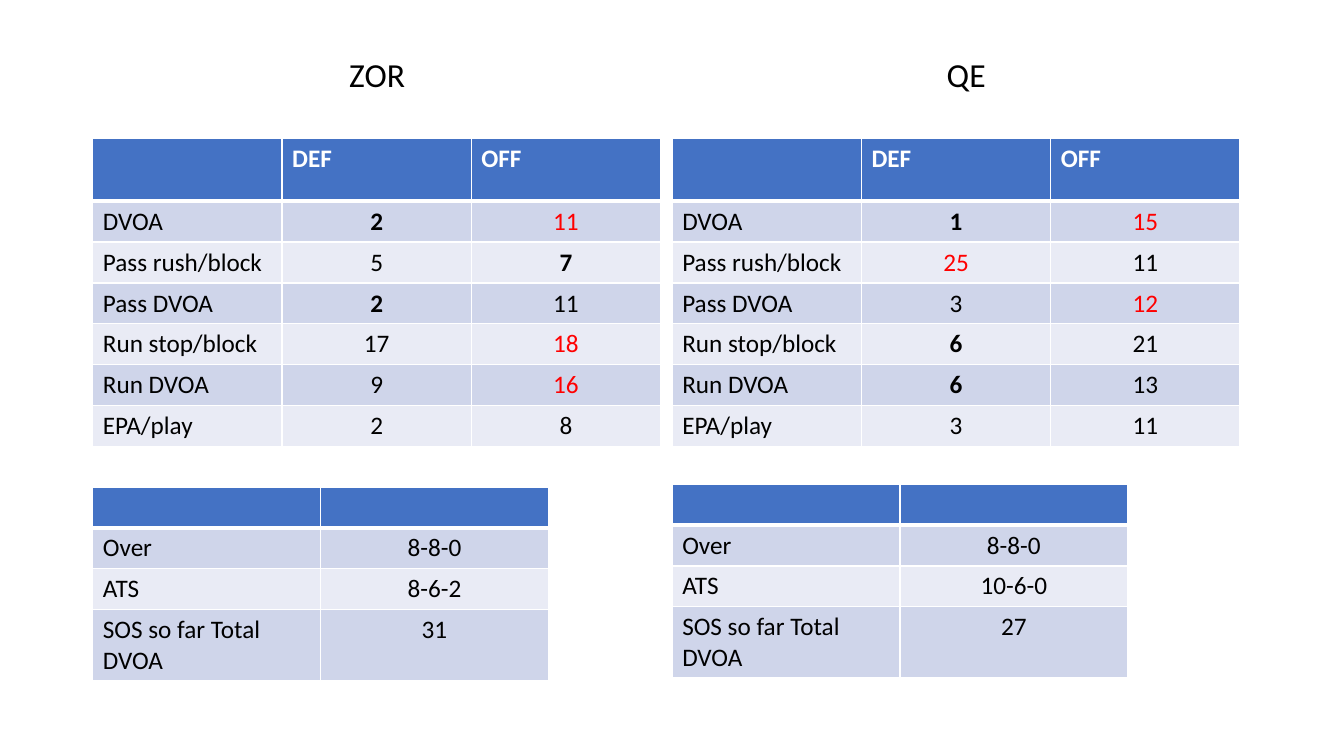
from dataclasses import dataclass

from lxml import etree
from pptx import Presentation
from pptx import util as u
from pptx.dml.color import RGBColor
from pptx.enum import text as t
from pptx.oxml.ns import qn


@dataclass(frozen=True)
class Theme:
    font: str = "Calibri"
    title: int = 24
    body: int = 18
    ink: str = "000000"
    white: str = "FFFFFF"
    red: str = "FF0000"
    head: str = "4472C4"
    bands: tuple = ("CFD5EA", "E9EBF5")


LEFT, MID = t.PP_ALIGN.LEFT, t.PP_ALIGN.CENTER
ROW = 1.03
STATS = ("DVOA", "Pass rush/block", "Pass DVOA",
         "Run stop/block", "Run DVOA", "EPA/play")
MARKS = ("Over", "ATS", "SOS so far Total DVOA")

# In the ranks, * after a number means bold and ! means red.
TEAMS = (
    dict(name="ZOR", left=2.34, title=(2.34, 14.33), low=12.27,
         ranks=("2* 11!", "5 7*", "2* 11", "17 18!", "9 16!", "2 8"),
         marks=("8-8-0", "8-6-2", "31")),
    dict(name="QE", left=16.94, title=(17.15, 14.4), low=12.2,
         ranks=("1* 15!", "25! 11", "3 12!", "6* 21", "6* 13", "3 11"),
         marks=("8-8-0", "10-6-0", "27")),
)


def write(frame, words, *, font, size, color, bold=False, align=LEFT):
    para = frame.paragraphs[0]
    para.alignment = align
    run = para.add_run()
    run.text = words
    run.font.name = font
    run.font.size = u.Pt(size)
    run.font.bold = bold
    run.font.color.rgb = RGBColor.from_string(color)
    return para


class Board:
    def __init__(self, slide, theme):
        self.slide, self.theme = slide, theme

    def title(self, words, left, width):
        th = self.theme
        box = self.slide.shapes.add_textbox(
            u.Cm(left), u.Cm(0.23), u.Cm(width), u.Cm(2.29))
        frame = box.text_frame
        frame.word_wrap = True
        frame.vertical_anchor = t.MSO_ANCHOR.BOTTOM
        para = write(frame, words, font=th.font, size=th.title,
                     color=th.ink, align=MID)
        para.line_spacing = 0.9
        para.space_before = u.Pt(10)

    def edge(self, cell, row):
        """Draw white cell borders, thicker between header and body."""
        props = cell._tc.get_or_add_tcPr()
        thick = {(0, "B"), (1, "T")}
        for spot, side in enumerate("LRTB"):
            wide = 3 if (row, side) in thick else 1
            line = etree.Element(qn(f"a:ln{side}"), w=str(u.Pt(wide)))
            fill = etree.SubElement(line, qn("a:solidFill"))
            etree.SubElement(fill, qn("a:srgbClr"), val=self.theme.white)
            props.insert(spot, line)

    def cell(self, cell, words, row, col):
        th = self.theme
        top = row == 0
        cell.fill.solid()
        cell.fill.fore_color.rgb = RGBColor.from_string(
            th.head if top else th.bands[(row - 1) % 2])
        self.edge(cell, row)
        if words:
            color = th.white if top else th.red if words[-1] == "!" else th.ink
            write(cell.text_frame, words.rstrip("*!"), font=th.font,
                  size=th.body, color=color, bold=top or words[-1] == "*",
                  align=MID if col and not top else LEFT)

    def table(self, rows, left, top, width, highs):
        count = len(rows[0])
        grid = self.slide.shapes.add_table(
            len(rows), count, u.Cm(left), u.Cm(top),
            u.Cm(width * count), u.Cm(sum(highs))).table
        for col in grid.columns:
            col.width = u.Cm(width)
        for r, (line, high) in enumerate(zip(rows, highs)):
            grid.rows[r].height = u.Cm(high)
            for c, words in enumerate(line):
                self.cell(grid.cell(r, c), words, r, c)


def main():
    deck = Presentation()
    deck.slide_width, deck.slide_height = u.Cm(33.87), u.Cm(19.05)
    board = Board(deck.slides.add_slide(deck.slide_layouts[6]), Theme())
    for team in TEAMS:
        board.title(team["name"], *team["title"])
        ranks = [("", "DEF", "OFF")]
        ranks += [(stat, *pair.split())
                  for stat, pair in zip(STATS, team["ranks"])]
        board.table(ranks, team["left"], 3.48, 4.77,
                    [1.59] + [ROW] * len(STATS))
        marks = [("", ""), *zip(MARKS, team["marks"])]
        board.table(marks, team["left"], team["low"], 5.74,
                    [ROW] * len(MARKS) + [1.79])
    deck.save("out.pptx")


if __name__ == "__main__":
    main()
